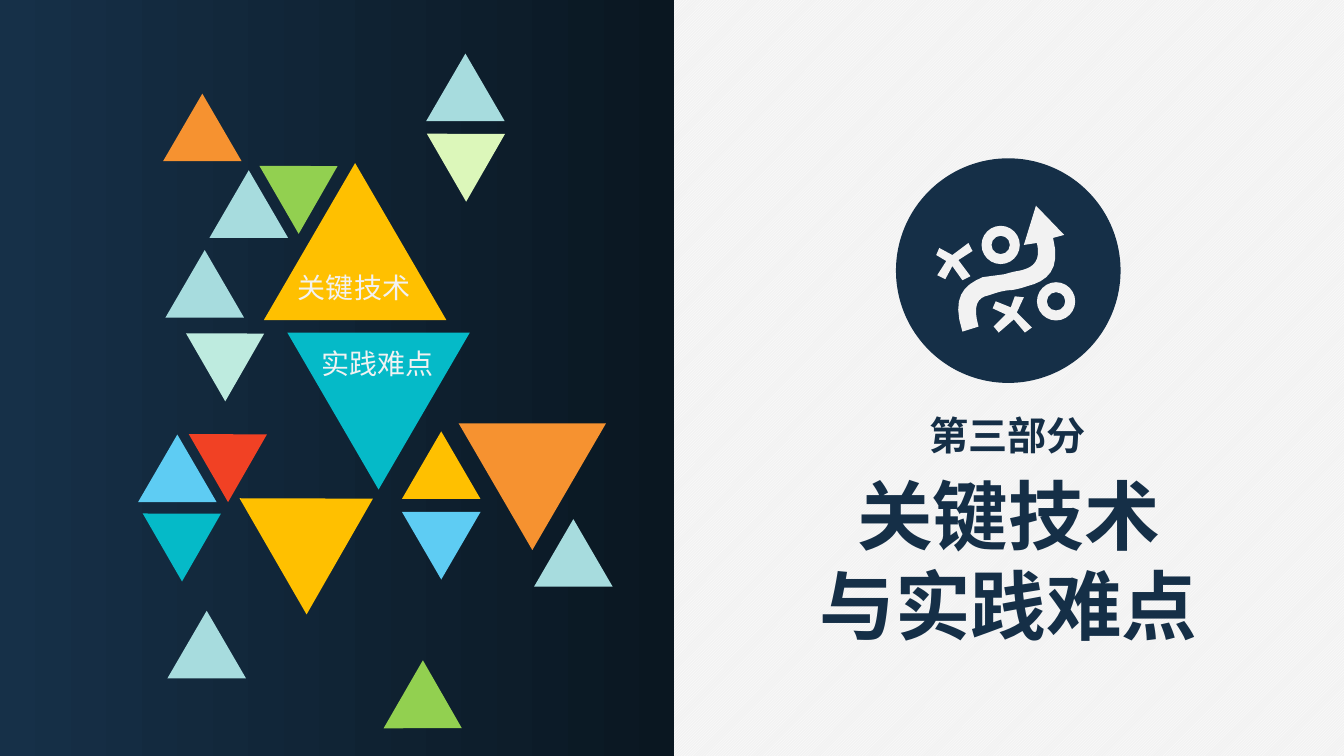
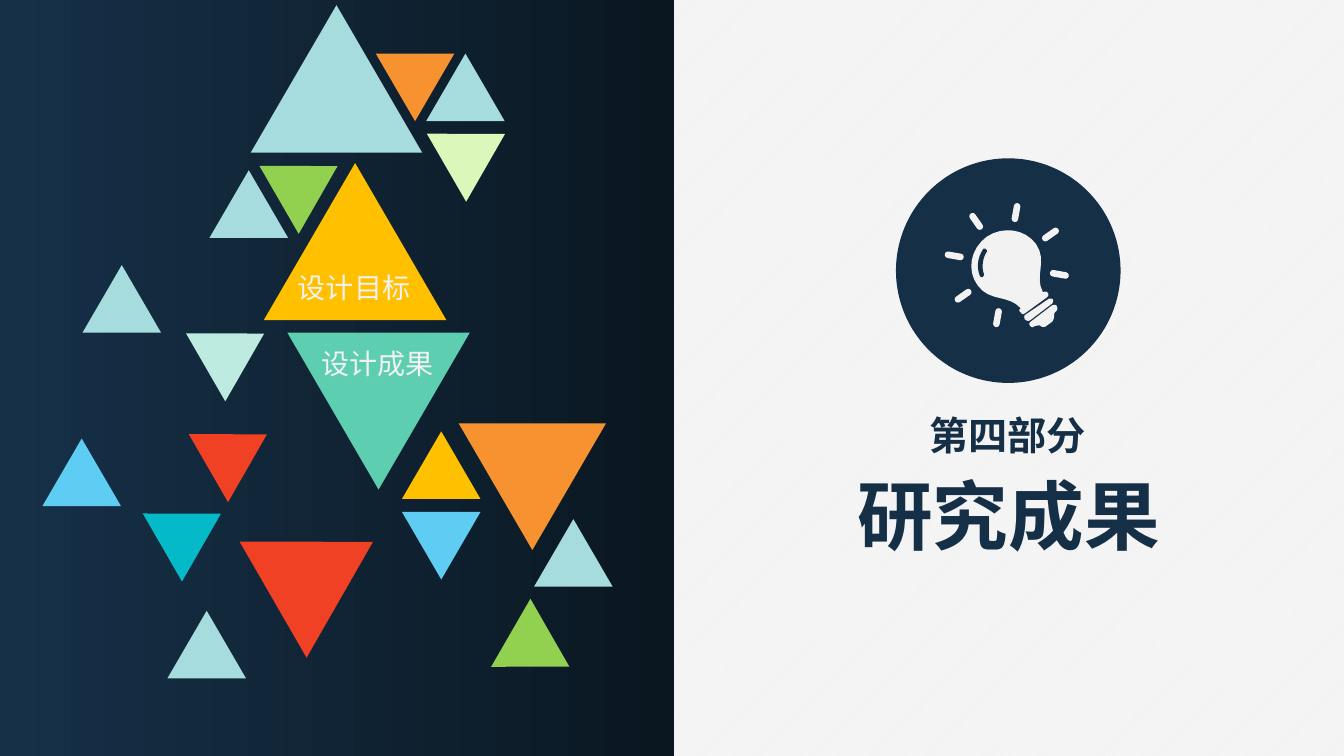
"""Build two section divider slides with triangle mosaics and round icons."""
import math

import pptx
import pptx.dml.color
import pptx.enum.dml
import pptx.enum.shapes
import pptx.enum.text
import pptx.oxml
import pptx.oxml.ns
import pptx.util

Cm = pptx.util.Cm
SHAPE = pptx.enum.shapes.MSO_SHAPE
FONT = "Noto Sans CJK SC"
NAVY, PALE, MIST, AMBER = "152F47", "F2F2F2", "A7DCDE", "FFC000"
ORANGE, RED, SKY, TEAL, GREEN = "F69230", "F14124", "5ECCF3", "05BAC8", "92D050"
SMALL, MEDIUM, LARGE = 1.98, 3.38, 4.6


def rgb(color):
    return pptx.dml.color.RGBColor.from_string(color)


def write(sp, text, size=20, color=NAVY, bold=False, align="CENTER"):
    tf = sp.text_frame
    tf.word_wrap = False
    tf.auto_size = pptx.enum.text.MSO_AUTO_SIZE.NONE
    tf.vertical_anchor = pptx.enum.text.MSO_ANCHOR.TOP
    tf.text = text
    for p in tf.paragraphs:
        p.alignment = pptx.enum.text.PP_ALIGN[align]
        p.line_spacing = 1.0
        for r in p.runs:
            r.font.name = FONT
            r.font.size = pptx.util.Pt(size)
            r.font.bold = bold
            r.font.color.rgb = rgb(color)
    for rpr in sp.element.iter(pptx.oxml.ns.qn("a:rPr")):
        ea = pptx.oxml.parse_xml(f'<a:ea {pptx.oxml.ns.nsdecls("a")} typeface="{FONT}"/>')
        rpr.append(ea)


shared_triangles = [
    (10.74, 1.35, SMALL, 0, MIST),
    (4.93, 7.98, SMALL, 60, "BEEBDF"),
    (4.22, 15.39, SMALL, 0, MIST),
    (5.28, 4.29, SMALL, 0, MIST),
    (6.78, 3.76, SMALL, 60, GREEN),
    (11, 2.95, SMALL, 60, "DCF7BA"),
    (3.84, 12.52, SMALL, 60, TEAL),
    (11.56, 10.67, 3.71, 180, ORANGE),
    (10.13, 10.87, SMALL, 0, AMBER),
    (10.13, 12.9, SMALL, 180, SKY),
    (5, 10.52, SMALL, 60, RED),
    (13.46, 13.08, SMALL, 0, MIST),
    (6.65, 4.11, LARGE, 0, AMBER),
]

strategy_outlines = [
    (PALE, [(66, 172), (55, 138, 67, 126, 86, 118), (93, 117, 101, 116, 108, 115),
            (114, 113, 120, 112, 125, 111), (137, 108, 144, 101, 140, 84),
            (127, 86), (139, 47), (167, 76), (156, 79),
            (164, 111, 150, 122, 130, 127), (124, 129, 117, 131, 111, 131),
            (104, 132, 101, 133, 92, 136), (81, 138, 76, 146, 82, 167)]),
    (PALE, [(43, 89), (40, 96), (50, 102), (41, 116), (49, 120), (56, 107),
            (66, 121), (74, 117), (62, 101), (76, 92), (72, 84), (56, 96)]),
    (PALE, [(127, 138), (118, 137), (114, 148), (99, 142), (96, 149), (109, 155),
            (97, 167), (102, 173), (117, 160), (128, 173), (135, 168), (120, 153)]),
]
bulb_outlines = [
    (PALE, [(151, 134), (152, 135, 151, 137, 150, 138), (128, 154),
            (126, 155, 125, 155, 124, 153), (122, 152, 122, 150, 124, 149),
            (112, 135, 93, 143, 81, 126), (70, 111, 74, 90, 90, 78),
            (106, 67, 128, 70, 139, 85), (151, 102, 137, 117, 146, 133),
            (148, 132, 150, 132, 151, 134)]),
    (PALE, [(156, 140), (156, 142, 156, 144, 154, 145), (133, 161),
            (131, 162, 129, 161, 128, 160), (127, 158, 127, 156, 129, 155),
            (151, 140), (152, 139, 154, 139, 156, 140)]),
    (PALE, [(155, 146), (134, 162), (132, 163, 132, 166, 134, 167),
            (135, 168, 136, 168, 137, 167), (139, 166, 141, 166, 143, 166),
            (145, 168, 148, 168, 150, 166), (154, 163),
            (156, 162, 157, 159, 157, 157), (157, 155, 157, 153, 159, 152),
            (160, 151, 161, 149, 160, 148), (160, 145, 157, 145, 155, 146)]),
    (NAVY, [(89, 90), (88, 89, 86, 90, 86, 91), (81, 99, 80, 108, 83, 116),
            (83, 117, 84, 118, 86, 118), (87, 117, 88, 115, 87, 114),
            (85, 108, 86, 99, 90, 93), (91, 92, 90, 91, 89, 90)]),
]
rings = [(SHAPE.DONUT, x, y, 38, 38, 0, 0.26) for x, y in [(104, 86), (159, 142)]]
rays = [
    (SHAPE.ROUNDED_RECTANGLE, 110 + 53 * math.cos(math.radians(a)),
     106 + 53 * math.sin(math.radians(a)), 19, 6.5, a, 0.5)
    for a in range(100, 371, 45)
]

sections = [
    dict(part="第三部分", title="关键技术\n与实践难点", labels=("关键技术", "实践难点"),
         outlines=strategy_outlines, presets=rings,
         triangles=[(4.17, 6.3, SMALL, 0, MIST), (7.24, 8.38, LARGE, 180, TEAL),
                    (3.48, 10.95, SMALL, 0, SKY), (4.11, 2.36, SMALL, 0, ORANGE),
                    (6.45, 11.84, MEDIUM, 60, AMBER), (9.91, 17.07, SMALL, 120, GREEN)]),
    dict(part="第四部分", title="研究成果", labels=("设计目标", "设计成果"),
         outlines=bulb_outlines, presets=rays,
         triangles=[(2.08, 6.68, SMALL, 0, MIST), (7.24, 8.38, LARGE, 180, "5DCEAF"),
                    (1.07, 11.05, SMALL, 0, SKY), (6.45, 12.93, MEDIUM, 60, RED),
                    (12.62, 15.52, SMALL, 120, GREEN), (6.32, 0.13, 4.32, 0, MIST),
                    (9.47, 1.35, SMALL, 180, ORANGE)]),
]

prs = pptx.Presentation()
prs.slide_width, prs.slide_height = Cm(33.87), Cm(19.05)
layout = prs.slide_layouts[5]
slides = [prs.slides.add_slide(layout) for _ in sections]

fill = layout.background.fill
fill.patterned()
fill.pattern = pptx.enum.dml.MSO_PATTERN.LIGHT_UPWARD_DIAGONAL
fill.fore_color.rgb = rgb("FFFFFF")
fill.back_color.rgb = rgb(PALE)

panel = slides[0].shapes.add_shape(SHAPE.RECTANGLE, 0, 0, Cm(17), prs.slide_height)
panel.shadow.inherit = False
panel.line.fill.background()
panel.fill.gradient()
panel.fill.gradient_angle = 0
for stop, color in zip(panel.fill.gradient_stops, ("163048", "0A1721")):
    stop.color.rgb = rgb(color)
layout.shapes.element.insert(2, panel.element)

disc_left, disc_top, disc_size = Cm(22.58), Cm(3.99), Cm(5.66)
unit = disc_size / 223

for s, section in zip(slides, sections):
    title = s.shapes.title
    lines = section["title"].count("\n") + 1
    title.left, title.top = Cm(20.35), Cm(11.68)
    title.width, title.height = Cm(10.13), Cm(0.25 + 2.31 * lines)
    write(title, section["title"], size=54, bold=True)
    part = s.shapes.add_textbox(Cm(23.14), Cm(10.24), Cm(4.5), Cm(1.45))
    write(part, section["part"], size=28, bold=True)

    painted = []
    icon = s.shapes.add_group_shape()
    disc = icon.shapes.add_shape(SHAPE.OVAL, disc_left, disc_top, disc_size, disc_size)
    painted.append((disc, NAVY))
    for color, outline in section["outlines"]:
        points = [outline[0]]
        for step in outline[1:]:
            if len(step) == 2:
                points.append(step)
                continue
            curve = [points[-1], step[:2], step[2:4], step[4:]]
            for t in (i / 8 for i in range(1, 9)):
                weights = [math.comb(3, k) * t**k * (1 - t) ** (3 - k) for k in range(4)]
                points.append(tuple(sum(w * c[axis] for w, c in zip(weights, curve))
                                    for axis in (0, 1)))
        points = [(disc_left + x * unit, disc_top + y * unit) for x, y in points]
        fb = icon.shapes.build_freeform(*points[0])
        fb.add_line_segments(points[1:], close=True)
        painted.append((fb.convert_to_shape(), color))
    for kind, x, y, w, h, angle, adjust in section["presets"]:
        sp = icon.shapes.add_shape(
            kind, int(disc_left + (x - w / 2) * unit), int(disc_top + (y - h / 2) * unit),
            int(w * unit), int(h * unit))
        sp.rotation = angle
        sp.adjustments[0] = adjust
        painted.append((sp, PALE))

    for x, y, w, angle, color in shared_triangles + section["triangles"]:
        sp = s.shapes.add_shape(SHAPE.ISOSCELES_TRIANGLE, Cm(x), Cm(y), Cm(w), Cm(w * 0.86))
        sp.rotation = angle
        painted.append((sp, color))
    for sp, color in painted:
        sp.shadow.inherit = False
        sp.line.fill.background()
        sp.fill.solid()
        sp.fill.fore_color.rgb = rgb(color)

    for text, (x, y) in zip(section["labels"], [(7.26, 6.68), (7.85, 8.61)]):
        label = s.shapes.add_textbox(Cm(x), Cm(y), Cm(3.35), Cm(1.12))
        write(label, text, color=PALE, align="LEFT")

prs.save("out.pptx")
